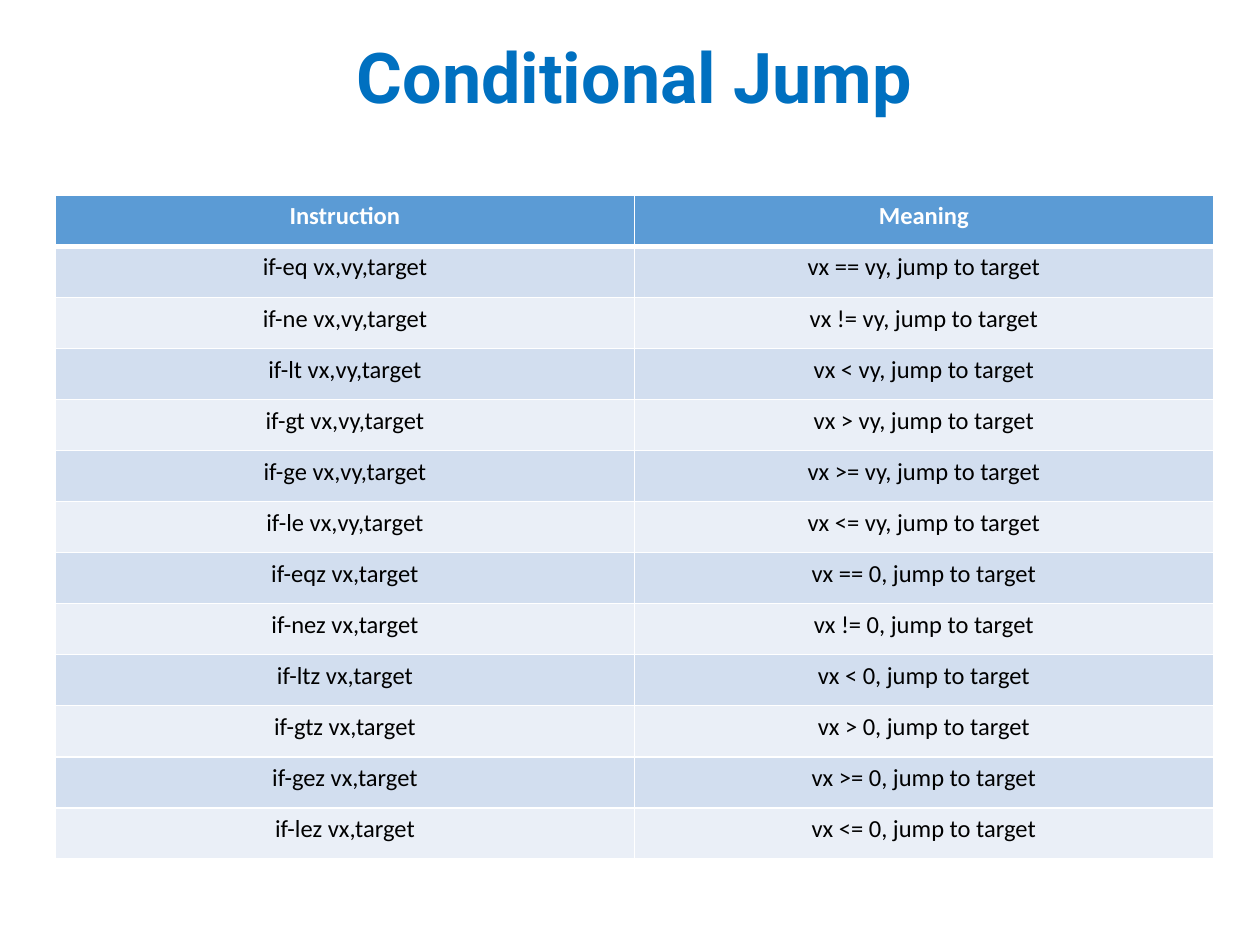
from lxml.etree import SubElement
from pptx import Presentation
from pptx.dml.color import RGBColor
from pptx.enum.text import MSO_ANCHOR, MSO_AUTO_SIZE, PP_ALIGN
from pptx.oxml.ns import qn
from pptx.util import Inches, Pt

TITLE = "Conditional Jump"
HEADS = ("Instruction", "Meaning")
TESTS = [("eq", "=="), ("ne", "!="), ("lt", "<"),
         ("gt", ">"), ("ge", ">="), ("le", "<=")]
ROWS = [HEADS]
ROWS += [(f"if-{name} vx,vy,target", f"vx {sign} vy, jump to target")
         for name, sign in TESTS]
ROWS += [(f"if-{name}z vx,target", f"vx {sign} 0, jump to target")
         for name, sign in TESTS]

WHITE = RGBColor(0xFF, 0xFF, 0xFF)
BLACK = RGBColor(0, 0, 0)
BLUE = RGBColor(0x00, 0x70, 0xC0)
HEAD_FILL = RGBColor(0x5B, 0x9B, 0xD5)
BANDS = (RGBColor(0xEA, 0xEF, 0xF7), RGBColor(0xD2, 0xDE, 0xEF))

LEFT, WIDTH = Inches(0.44), Inches(9.19)
TITLE_BOX = {"left": LEFT, "top": Inches(0.24),
             "width": WIDTH, "height": Inches(0.81)}
TABLE_TOP, TABLE_HEIGHT = Inches(1.55), Inches(5.27)
TITLE_FONT = {"name": "Roboto", "size": Pt(40), "bold": True}
CELL_FONT = {"name": "Calibri", "size": Pt(14)}


def assign(target, values):
    for key, value in values.items():
        setattr(target, key, value)


def write(frame, text, color, font):
    frame.text = text
    para = frame.paragraphs[0]
    para.alignment = PP_ALIGN.CENTER
    run = para.runs[0]
    assign(run.font, font)
    run.font.color.rgb = color
    return para


def set_border(cell, side, width):
    line = SubElement(cell._tc.get_or_add_tcPr(), qn(f"a:ln{side}"), w=str(Pt(width)))
    fill = SubElement(line, qn("a:solidFill"))
    SubElement(fill, qn("a:srgbClr"), val=str(WHITE))


def add_title(slide):
    title = slide.shapes.title
    assign(title, TITLE_BOX)
    frame = title.text_frame
    assign(frame, {"word_wrap": True, "auto_size": MSO_AUTO_SIZE.NONE,
                   "vertical_anchor": MSO_ANCHOR.MIDDLE})
    write(frame, TITLE, BLUE, TITLE_FONT).line_spacing = 0.9


def add_jumps(slide):
    table = slide.shapes.add_table(len(ROWS), len(HEADS), LEFT, TABLE_TOP,
                                   WIDTH, TABLE_HEIGHT).table
    for r, texts in enumerate(ROWS):
        head = r == 0
        for c, text in enumerate(texts):
            cell = table.cell(r, c)
            for side in "LRTB":
                thick = (head and side == "B") or (r == 1 and side == "T")
                set_border(cell, side, 3 if thick else 1)
            cell.fill.solid()
            cell.fill.fore_color.rgb = HEAD_FILL if head else BANDS[r % 2]
            write(cell.text_frame, text, WHITE if head else BLACK,
                  {**CELL_FONT, "bold": head})


def main():
    deck = Presentation()
    assign(deck, {"slide_width": Inches(10), "slide_height": Inches(7.5)})
    slide = deck.slides.add_slide(deck.slide_layouts.get_by_name("Title Only"))
    add_jumps(slide)
    add_title(slide)
    deck.save("out.pptx")


if __name__ == "__main__":
    main()
